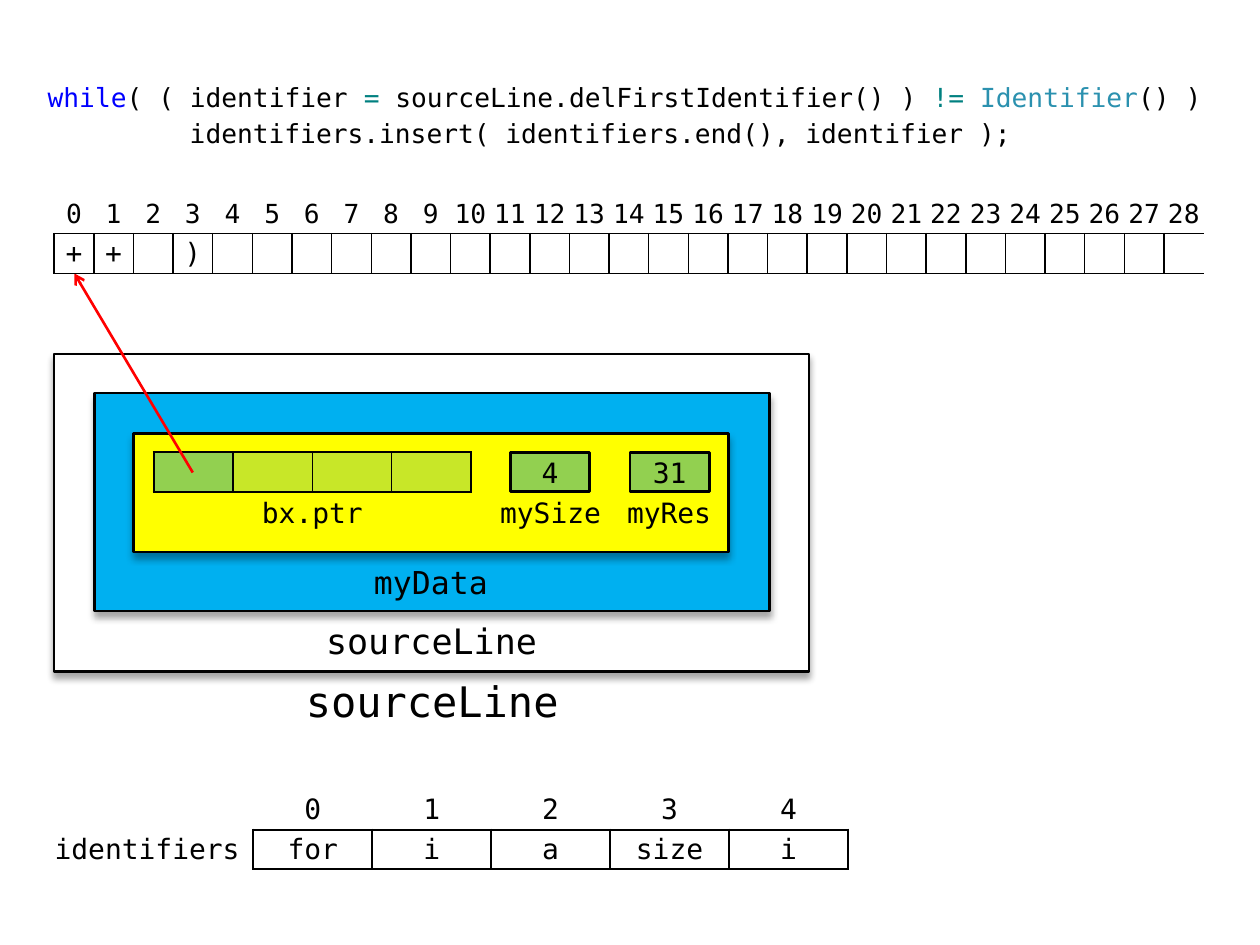
"""Build a slide showing a string buffer, its owner object and the identifiers found."""
from dataclasses import dataclass

from lxml.etree import SubElement
from pptx import Presentation
from pptx.dml.color import RGBColor
from pptx.enum.shapes import MSO_CONNECTOR as Connector, MSO_SHAPE as Shape
from pptx.enum.text import MSO_ANCHOR as Anchor, PP_ALIGN as Align
from pptx.oxml import parse_xml
from pptx.oxml.ns import nsdecls, qn
from pptx.util import Inches, Pt

FONT = "DejaVu Sans Mono"
BLACK = RGBColor(0x00, 0x00, 0x00)
WHITE = RGBColor(0xFF, 0xFF, 0xFF)
BLUE = RGBColor(0x00, 0x00, 0xFF)
TEAL = RGBColor(0x00, 0x80, 0x80)
TYPE_BLUE = RGBColor(0x2B, 0x91, 0xAF)
SKY = RGBColor(0x00, 0xB0, 0xF0)
YELLOW = RGBColor(0xFF, 0xFF, 0x00)
GREEN = RGBColor(0x92, 0xD0, 0x50)
RED = RGBColor(0xFF, 0x00, 0x00)

BUFFER_WIDTH = 9.13
BUFFER_CELLS = 29
UNIT = BUFFER_WIDTH / BUFFER_CELLS


@dataclass
class Box:
    left: float
    top: float
    width: float
    height: float
    fill: RGBColor
    text: str = ""
    shadow: bool = False


@dataclass
class Label:
    text: str
    left: float
    top: float
    width: float
    height: float
    size: int
    align: Align = Align.CENTER
    inset_right: float = 0


@dataclass
class Grid:
    left: float
    top: float
    column_width: float
    values: list[str]
    outer: float
    inner: float
    header_size: int = 0
    open_end: bool = False


CODE_LINES = [
    [("while", BLUE), ("( ( identifier ", BLACK), ("= ", TEAL),
     ("sourceLine.delFirstIdentifier() ) ", BLACK), ("!= ", TEAL),
     ("Identifier", TYPE_BLUE), ("() )", BLACK)],
    [("         identifiers.insert( identifiers.end(), identifier );", BLACK)],
]
BOXES = [
    Box(0.43, 2.81, 5.99, 2.52, WHITE, shadow=True),
    Box(0.75, 3.12, 5.36, 1.73, SKY, shadow=True),
    Box(1.06, 3.44, 4.72, 0.94, YELLOW, shadow=True),
    Box(4.05, 3.59, 0.63, 0.31, GREEN, "4"),
    Box(5, 3.59, 0.63, 0.31, GREEN, "31"),
]
LABELS = [
    Label("identifiers", 0.4, 6.58, 1.6, 0.31, 16, Align.RIGHT, 0.1),
    Label("sourceLine", 2.17, 5.33, 2.52, 0.47, 24),
    Label("sourceLine", 2.48, 4.85, 1.89, 0.47, 20),
    Label("myData", 2.79, 4.38, 1.26, 0.47, 18),
    Label("bx.ptr", 2.01, 3.91, 0.94, 0.31, 16),
    Label("mySize", 3.9, 3.91, 0.94, 0.31, 16),
    Label("myRes", 4.84, 3.91, 0.94, 0.31, 16),
]
IDENTIFIERS = Grid(2.01, 6.27, 3 * UNIT, ["for", "i", "a", "size", "i"], 1.5, 1.5, 16)
POINTER = Grid(1.22, 3.59, 2 * UNIT, [""] * 4, 1.5, 1)
BUFFER = Grid(0.43, 1.54, UNIT, ["+", "+", "", ")"] + [""] * (BUFFER_CELLS - 4),
              1, 1, 15, open_end=True)


def format_run(run, size: int, color: RGBColor = BLACK) -> None:
    run.font.name = FONT
    run.font.size = Pt(size)
    run.font.color.rgb = color


def set_text(text_frame, text: str, size: int, align: Align = Align.CENTER) -> None:
    text_frame.text = text
    paragraph = text_frame.paragraphs[0]
    paragraph.alignment = align
    for run in paragraph.runs:
        format_run(run, size)


def add_code(slide) -> None:
    text_frame = slide.shapes.add_textbox(
        Inches(0.28), Inches(0.6), Inches(9.45), Inches(0.63)).text_frame
    text_frame.word_wrap = True
    for index, parts in enumerate(CODE_LINES):
        paragraph = text_frame.add_paragraph() if index else text_frame.paragraphs[0]
        paragraph.space_before = Pt(2)
        for text, color in parts:
            run = paragraph.add_run()
            run.text = text
            format_run(run, 15, color)


def add_box(slide, box: Box) -> None:
    kind = Shape.FLOWCHART_PROCESS if box.shadow else Shape.RECTANGLE
    shape = slide.shapes.add_shape(
        kind, Inches(box.left), Inches(box.top), Inches(box.width), Inches(box.height))
    shape.fill.solid()
    shape.fill.fore_color.rgb = box.fill
    shape.line.color.rgb = BLACK
    shape.line.width = Pt(1.5)
    shape.shadow.inherit = False
    if box.shadow:
        effects = shape._element.spPr.find(qn("a:effectLst"))
        effects.append(parse_xml(
            f'<a:outerShdw {nsdecls("a")} blurRad="{Pt(4)}" dist="{Pt(3)}" dir="5400000" '
            'rotWithShape="0"><a:srgbClr val="000000"><a:alpha val="35000"/>'
            '</a:srgbClr></a:outerShdw>'))
    if box.text:
        shape.text_frame.vertical_anchor = Anchor.MIDDLE
        set_text(shape.text_frame, box.text, 16)


def add_label(slide, label: Label) -> None:
    text_frame = slide.shapes.add_textbox(
        Inches(label.left), Inches(label.top),
        Inches(label.width), Inches(label.height)).text_frame
    text_frame.word_wrap = True
    text_frame.vertical_anchor = Anchor.MIDDLE
    text_frame.margin_left = text_frame.margin_top = text_frame.margin_bottom = 0
    text_frame.margin_right = Inches(label.inset_right)
    set_text(text_frame, label.text, label.size, label.align)


def format_cell(cell, text: str, size: int, borders: dict[str, float]) -> None:
    cell.margin_left = cell.margin_right = cell.margin_top = cell.margin_bottom = 0
    cell.vertical_anchor = Anchor.MIDDLE
    set_text(cell.text_frame, text, size)
    properties = cell._tc.get_or_add_tcPr()
    for side in "LRTB":
        width = borders.get(side, 0)
        line = SubElement(properties, qn(f"a:ln{side}"), w=str(Pt(width)))
        if width:
            fill = SubElement(line, qn("a:solidFill"))
            SubElement(fill, qn("a:srgbClr"), val=str(BLACK))
        else:
            SubElement(line, qn("a:noFill"))
    cell.fill.background()


def add_grid(slide, grid: Grid):
    count = len(grid.values)
    rows = 2 if grid.header_size else 1
    table = slide.shapes.add_table(
        rows, count, Inches(grid.left), Inches(grid.top),
        Inches(count * grid.column_width), Inches(rows * UNIT)).table
    table.first_row = table.horz_banding = False
    for column, value in enumerate(grid.values):
        last = column == count - 1
        right = grid.outer if last else grid.inner
        borders = {"L": grid.inner if column else grid.outer,
                   "R": 0 if last and grid.open_end else right,
                   "T": grid.outer, "B": grid.outer}
        if grid.header_size:
            format_cell(table.cell(0, column), str(column), grid.header_size,
                        {"B": grid.outer})
        format_cell(table.cell(rows - 1, column), value, 16, borders)
    return table


def add_pointer_bytes(slide) -> None:
    table = add_grid(slide, POINTER)
    for column, cell in enumerate(table.rows[0].cells):
        cell.fill.solid()
        cell.fill.fore_color.rgb = GREEN
        if column:
            color = cell._tc.tcPr.find(qn("a:solidFill")).find(qn("a:srgbClr"))
            SubElement(color, qn("a:alpha"), val="50000")


def add_pointer_arrow(slide) -> None:
    arrow = slide.shapes.add_connector(
        Connector.STRAIGHT, Inches(1.53), Inches(3.75), Inches(0.59), Inches(2.17))
    arrow.line.color.rgb = RED
    arrow.line.width = Pt(1.5)
    SubElement(arrow.line._get_or_add_ln(), qn("a:tailEnd"), type="arrow")
    SubElement(arrow._element.spPr, qn("a:effectLst"))


def main() -> None:
    presentation = Presentation()
    presentation.slide_width, presentation.slide_height = Inches(10), Inches(7.5)
    slide = presentation.slides.add_slide(presentation.slide_layouts[6])
    add_code(slide)
    add_grid(slide, IDENTIFIERS)
    for box in BOXES:
        add_box(slide, box)
    for label in LABELS:
        add_label(slide, label)
    add_pointer_bytes(slide)
    add_pointer_arrow(slide)
    add_grid(slide, BUFFER)
    presentation.save("out.pptx")


if __name__ == "__main__":
    main()
